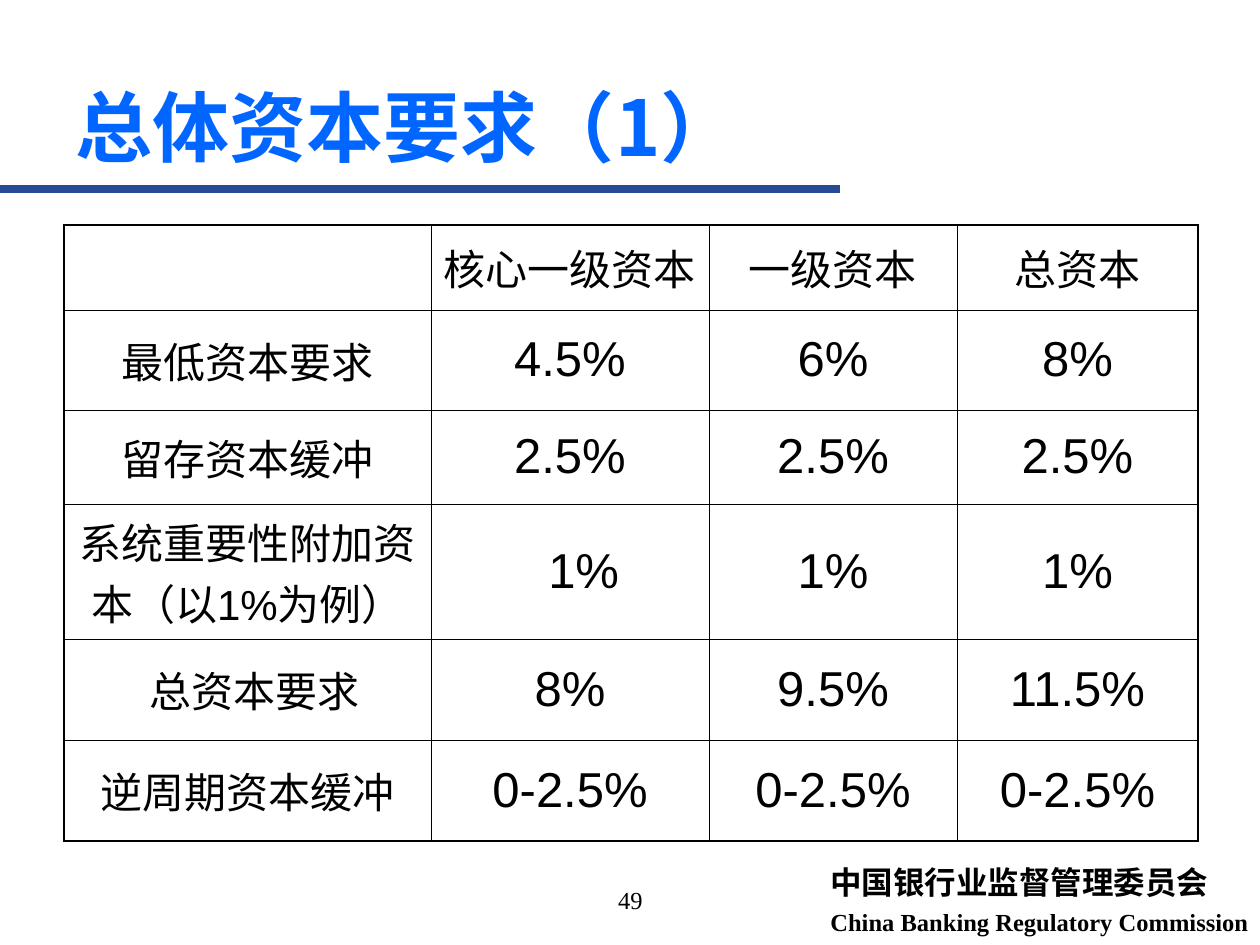
from lxml.etree import SubElement
from pptx import Presentation
from pptx.dml.color import RGBColor
from pptx.enum.shapes import MSO_CONNECTOR
from pptx.enum.text import MSO_ANCHOR, PP_ALIGN
from pptx.oxml.ns import qn
from pptx.util import Emu, Pt

COLORS = {"title": "0066FF", "rule": "264B96", "text": "000000"}
CJK = "Noto Sans CJK SC"
COL_WIDTHS = [367, 278, 248, 241]
ROW_HEIGHTS = [85, 100, 94, 135, 101, 101]
ROWS = [
    ["", "核心一级资本", "一级资本", "总资本"],
    ["最低资本要求", "4.5%", "6%", "8%"],
    ["留存资本缓冲", "2.5%", "2.5%", "2.5%"],
    ["系统重要性附加资本（以1%为例）", "1%", "1%", "1%"],
    ["总资本要求", "8%", "9.5%", "11.5%"],
    ["逆周期资本缓冲", "0-2.5%", "0-2.5%", "0-2.5%"],
]
INDENTS = {(3, 1): 40, (4, 0): 26}


def px(n):
    """Turn pixels into EMU at 126 pixels to the inch."""
    return Emu(round(n * 914400 / 126))


def style(p, size, font, color="text", bold=False, align=PP_ALIGN.LEFT):
    """Format every run of a paragraph."""
    p.alignment = align
    for r in p.runs:
        r.font.size = Pt(size)
        r.font.bold = bold
        r.font.color.rgb = RGBColor.from_string(COLORS[color])
        r.font.name = font
        SubElement(r.font._element, qn("a:ea"), typeface=CJK)


def add_title(s, text):
    """Place and format the title placeholder."""
    sp = s.shapes.title
    sp.left, sp.top, sp.width, sp.height = px(63), px(47), px(1134), px(157)
    tf = sp.text_frame
    tf.text = text
    tf.vertical_anchor = MSO_ANCHOR.MIDDLE
    style(tf.paragraphs[0], 44, CJK, "title", True)


def add_rule(s):
    """Draw the line under the title."""
    c = s.shapes.add_connector(MSO_CONNECTOR.STRAIGHT, 0, px(189), px(840), px(189))
    c.line.color.rgb = RGBColor.from_string(COLORS["rule"])
    c.line.width = Pt(4.5)
    SubElement(c._element.spPr, qn("a:effectLst"))


def add_text(s, box, text, wrap=True):
    """Add a text box and return its text frame."""
    tf = s.shapes.add_textbox(*map(px, box)).text_frame
    tf.word_wrap = wrap
    tf.text = text
    return tf


def add_footer(s):
    """Add the organisation name in two languages and the page number."""
    tf = add_text(s, (818, 857, 444, 86),
                  "中国银行业监督管理委员会\nChina Banking Regulatory Commission", False)
    chinese, english = tf.paragraphs
    style(chinese, 18, "DejaVu Sans", bold=True)
    style(english, 14, "Times New Roman", bold=True)
    english.space_before = Pt(3.5)
    tf = add_text(s, (431, 879, 399, 66), "49")
    style(tf.paragraphs[0], 14, "Times New Roman", align=PP_ALIGN.CENTER)


def set_borders(cell, outer):
    """Give a cell thick outer borders and thin inner ones."""
    tcPr = cell._tc.get_or_add_tcPr()
    for side, is_outer in zip("LRTB", outer):
        width = Pt(1.08 if is_outer else 0.45)
        ln = SubElement(tcPr, qn(f"a:ln{side}"), w=str(width))
        fill = SubElement(ln, qn("a:solidFill"))
        SubElement(fill, qn("a:srgbClr"), val=COLORS["text"])


def add_requirements(s):
    """Add the table of capital requirements."""
    n_rows, n_cols = len(ROWS), len(COL_WIDTHS)
    table = s.shapes.add_table(n_rows, n_cols, px(64), px(225),
                               px(sum(COL_WIDTHS)), px(sum(ROW_HEIGHTS))).table
    table.first_row = table.horz_banding = False
    for col, width in zip(table.columns, COL_WIDTHS):
        col.width = px(width)
    for i, values in enumerate(ROWS):
        table.rows[i].height = px(ROW_HEIGHTS[i])
        for j, text in enumerate(values):
            cell = table.cell(i, j)
            set_borders(cell, (j == 0, j == n_cols - 1, i == 0, i == n_rows - 1))
            cell.fill.background()
            cell.vertical_anchor = MSO_ANCHOR.MIDDLE
            if (i, j) in INDENTS:
                cell.margin_left = px(INDENTS[i, j])
            cell.text_frame.text = text
            size = 28 if i and j else 24
            style(cell.text_frame.paragraphs[0], size, "Arial", align=PP_ALIGN.CENTER)


def main():
    """Build and save the slide."""
    prs = Presentation()
    prs.slide_width, prs.slide_height = px(1260), px(945)
    s = prs.slides.add_slide(prs.slide_layouts[5])
    add_footer(s)
    add_rule(s)
    add_title(s, "总体资本要求（1）")
    add_requirements(s)
    prs.save("out.pptx")


if __name__ == "__main__":
    main()
